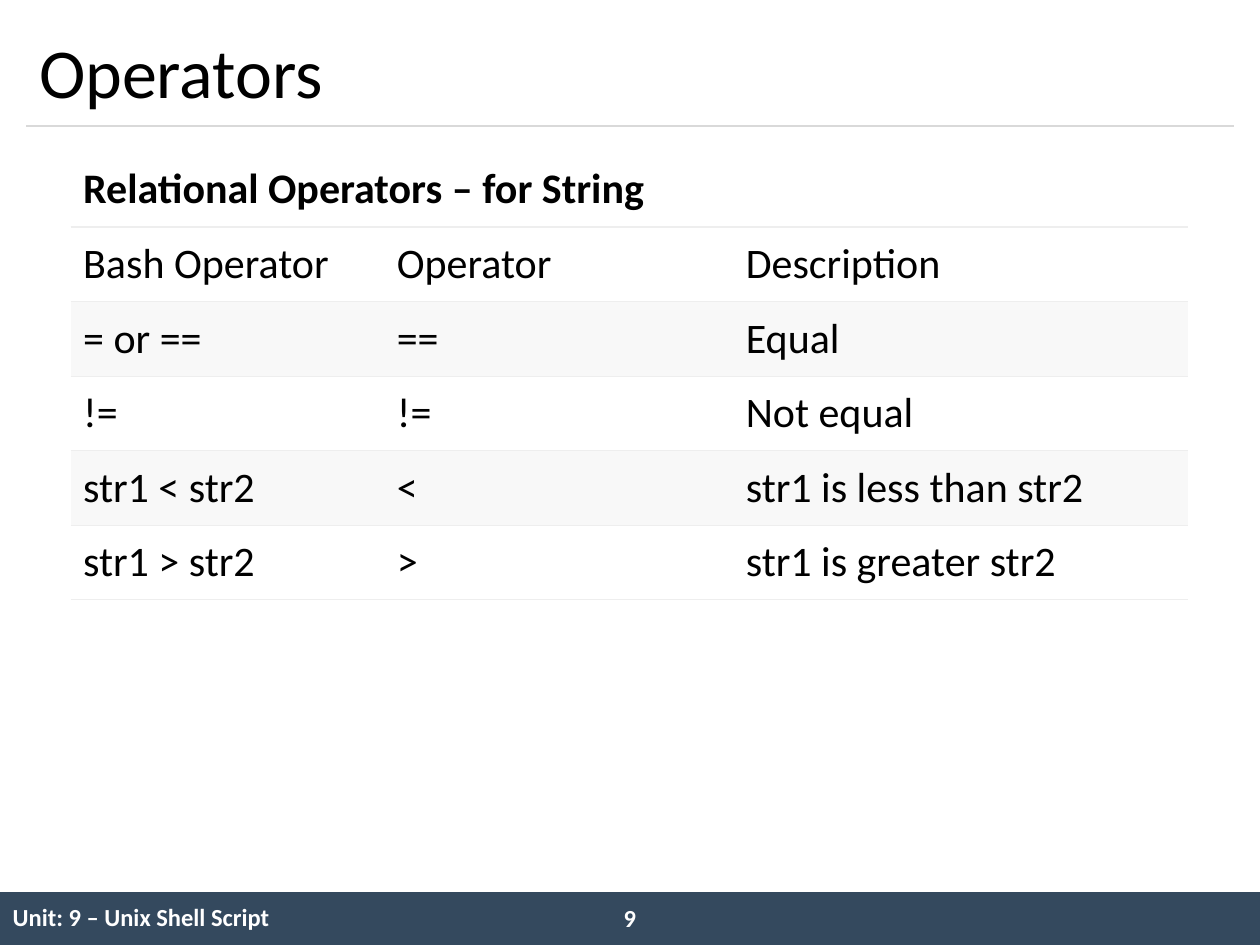
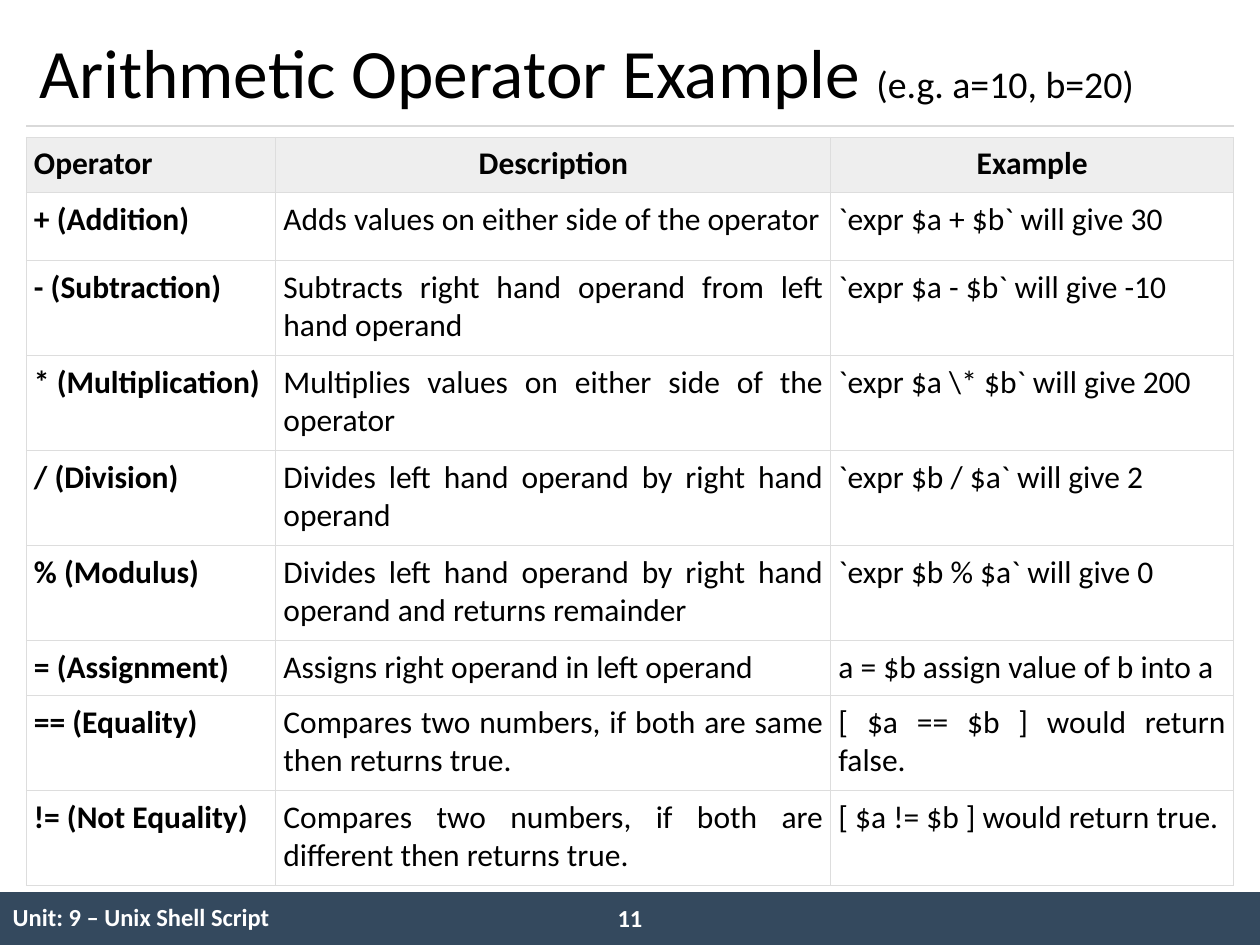
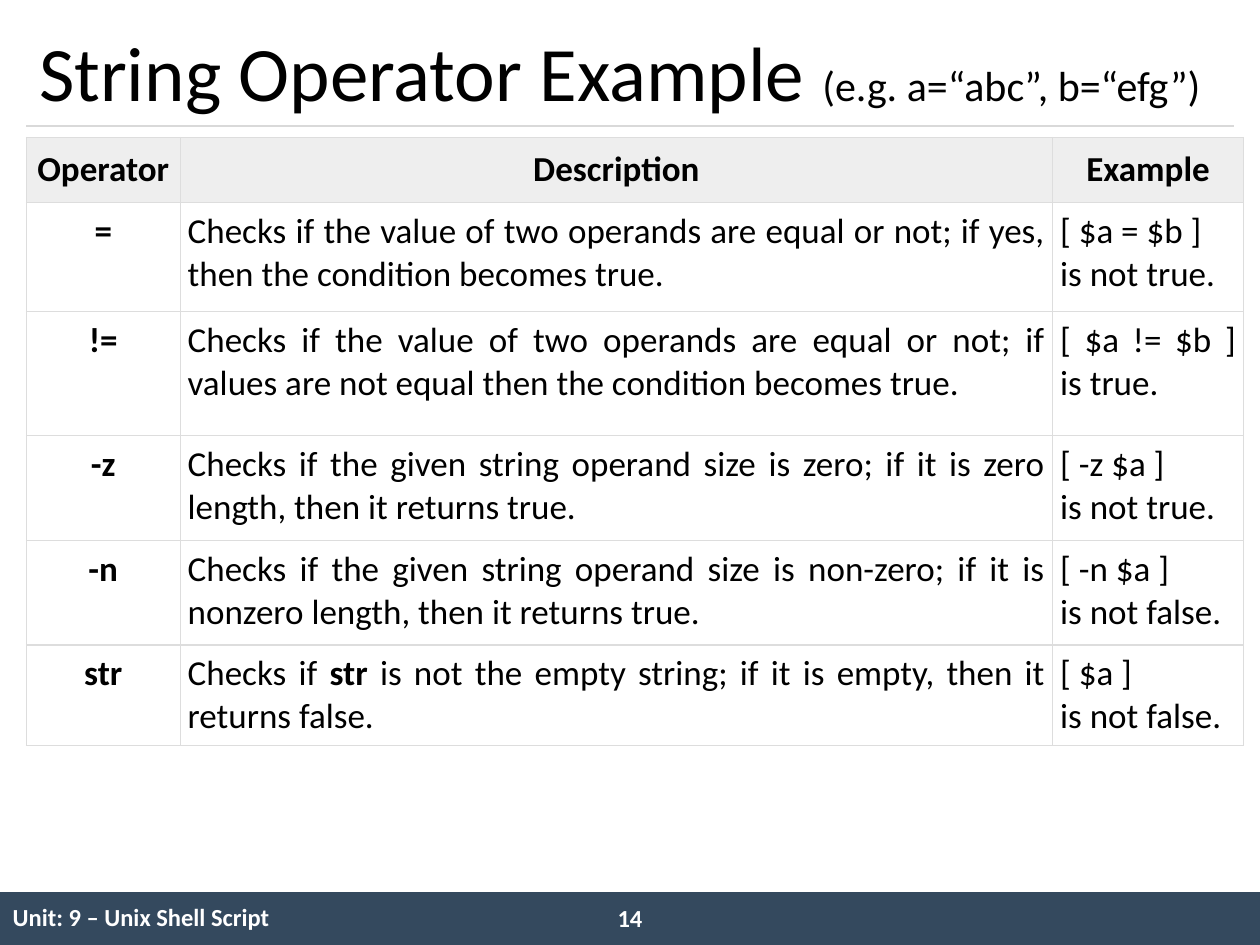
from lxml import etree
from pptx import Presentation
from pptx.dml.color import RGBColor
from pptx.enum.shapes import MSO_CONNECTOR as Connector, MSO_SHAPE as Shape
from pptx.enum.text import MSO_ANCHOR as Anchor, MSO_AUTO_SIZE as AutoSize, PP_ALIGN as Align
from pptx.oxml.ns import qn
from pptx.util import Inches, Pt

BLACK = RGBColor(0x00, 0x00, 0x00)
WHITE = RGBColor(0xFF, 0xFF, 0xFF)
NAVY = RGBColor(0x34, 0x49, 0x5E)
RULE_GREY = RGBColor(0xD9, 0xD9, 0xD9)
GRID_GREY = RGBColor(0xDD, 0xDD, 0xDD)
PALE_GREY = RGBColor(0xEE, 0xEE, 0xEE)
BAND_GREY = RGBColor(0xF8, 0xF8, 0xF8)

FONT = "Calibri"
UNIT = "Unit: 9 – Unix Shell Script"
PLAIN_TABLE = "{2D5ABB26-0587-4C30-8999-92F81FD0307C}"

# The slide is a grid of 100 columns by 75 rows
COLUMNS, ROWS = 100, 75
MARGIN = 2.1
CONTENT = COLUMNS - 2 * MARGIN
RULE_TOP = 10
TABLE_TOP = 10.9
FOOTER_TOP = 70.8
FOOTER_HEIGHT = ROWS - FOOTER_TOP
CELL_INSET = Inches(0.06)


class Designer:
    """Holds the deck, its style and the slide being built."""

    def __init__(self):
        self.deck = Presentation()
        self.deck.slide_width, self.deck.slide_height = Inches(10), Inches(7.5)
        self.page = None

    def x(self, columns):
        return round(self.deck.slide_width * columns / COLUMNS)

    def y(self, rows):
        return round(self.deck.slide_height * rows / ROWS)

    def area(self, left, top, width, height):
        return self.x(left), self.y(top), self.x(width), self.y(height)

    # Text
    def put_text(self, frame, text, size, color=BLACK, bold=False, align=Align.LEFT):
        """Text is a string, one paragraph a line, or a list of (words, font changes)."""
        lines = text.split("\n") if isinstance(text, str) else [text]
        for index, line in enumerate(lines):
            para = frame.add_paragraph() if index else frame.paragraphs[0]
            para.alignment = align
            para.font.name, para.font.size = FONT, Pt(size)
            para.font.bold, para.font.color.rgb = bold, color
            for words, changes in [(line, {})] if isinstance(line, str) else line:
                span = para.add_run()
                span.text = words
                span.font.size = changes.get("size")
                span.font.bold = changes.get("bold")

    def text_box(self, area, text, size, **style):
        frame = self.page.shapes.add_textbox(*self.area(*area)).text_frame
        frame.word_wrap = True
        frame.auto_size = AutoSize.SHAPE_TO_FIT_TEXT
        self.put_text(frame, text, size, **style)

    # Lines and bands
    def rule(self, top):
        line = self.page.shapes.add_connector(
            Connector.STRAIGHT, self.x(MARGIN), self.y(top),
            self.x(COLUMNS - MARGIN), self.y(top))
        line.line.color.rgb, line.line.width = RULE_GREY, Pt(0.75)
        etree.SubElement(line._element.spPr, qn("a:effectLst"))

    def band(self, top, height):
        box = self.page.shapes.add_shape(
            Shape.RECTANGLE, *self.area(0, top, COLUMNS, height))
        box.shadow.inherit = False
        box.fill.solid()
        box.fill.fore_color.rgb = NAVY
        box.line.fill.background()

    # Tables
    def borders(self, cell, sides, color):
        """Sides maps L, R, T and B to widths in points."""
        properties = cell._tc.get_or_add_tcPr()
        for index, side in enumerate(side for side in "LRTB" if side in sides):
            line = etree.Element(qn(f"a:ln{side}"), w=str(Pt(sides[side])))
            fill = etree.SubElement(line, qn("a:solidFill"))
            etree.SubElement(fill, qn("a:srgbClr"), val=str(color))
            properties.insert(index, line)

    def table(self, left, top, widths, heights, texts, size, look, inset=None, color=BLACK):
        """Look gives the style of the cell at a row and a column."""
        frame = self.page.shapes.add_table(
            len(heights), len(widths), *self.area(left, top, sum(widths), sum(heights)))
        table = frame.table
        table.first_row = table.horz_banding = False
        table._tbl.tblPr.find(qn("a:tableStyleId")).text = PLAIN_TABLE
        for column, width in zip(table.columns, widths):
            column.width = self.x(width)
        for row, height in zip(table.rows, heights):
            row.height = self.y(height)
        for r, line in enumerate(texts):
            for c, text in enumerate(line):
                cell, style = table.cell(r, c), look(r, c)
                cell.vertical_anchor = style.get("anchor", Anchor.TOP)
                if inset is not None:
                    cell.margin_left = cell.margin_right = inset
                    cell.margin_top = cell.margin_bottom = inset
                if style.get("fill"):
                    cell.fill.solid()
                    cell.fill.fore_color.rgb = style["fill"]
                else:
                    cell.fill.background()
                self.borders(cell, style.get("sides", {}), style.get("line"))
                if text:
                    self.put_text(cell.text_frame, text, size, color,
                                  style.get("bold", False), style.get("align", Align.LEFT))

    def boxed_table(self, widths, heights, texts, size, look):
        """A ruled table under the title, with a grey heading row."""
        def boxed(r, c):
            return {"fill": WHITE if r else PALE_GREY, "bold": r == 0 or c == 0,
                    "sides": dict.fromkeys("LRTB", 0.75), "line": GRID_GREY,
                    "align": Align.JUSTIFY} | look(r, c)

        self.table(MARGIN, TABLE_TOP, widths, heights, texts, size, boxed, CELL_INSET)

    # Slide with the shared footer, rule and title
    def start_page(self, number, title, size):
        self.page = self.deck.slides.add_slide(self.deck.slide_layouts[5])
        self.band(FOOTER_TOP, FOOTER_HEIGHT)
        self.table(0, FOOTER_TOP, [50.8, 6.7, 42.5], [FOOTER_HEIGHT], [[UNIT, "", ""]], 14,
                   lambda r, c: {"anchor": Anchor.MIDDLE, "bold": True}, color=WHITE)
        self.text_box((47.1, 71.2, 5.8, 3.4), str(number), 14,
                      color=WHITE, bold=True, align=Align.CENTER)
        self.rule(RULE_TOP)
        heading = self.page.shapes.title
        heading.left, heading.top, heading.width, heading.height = self.area(
            MARGIN, 1.2, CONTENT, 8.8)
        heading.text_frame.vertical_anchor = Anchor.MIDDLE
        heading.text_frame.auto_size = AutoSize.NONE
        self.put_text(heading.text_frame, title, size)


def relational_look(r, c):
    return {"anchor": Anchor.MIDDLE, "fill": BAND_GREY if r in (1, 3) else None,
            "sides": {"T": 0.75 if r else 1.5, "B": 0.75}, "line": PALE_GREY}


def arithmetic_look(r, c):
    if r == 0 and c > 0:
        return {"align": Align.CENTER}
    return {"anchor": Anchor.MIDDLE} if (r, c) == (6, 1) else {}


def string_look(r, c):
    if r == 0:
        return {"align": Align.CENTER, "anchor": Anchor.MIDDLE}
    return {"align": Align.CENTER} if c == 0 else {}


RELATIONAL = [
    ["Bash Operator", "Operator", "Description"],
    ["= or ==", "==", "Equal"],
    ["!=", "!=", "Not equal"],
    ["str1 < str2", "<", "str1 is less than str2"],
    ["str1 > str2", ">", "str1 is greater str2"],
]

ARITHMETIC = [
    ["Operator", "Description", "Example"],
    ["+ (Addition)", "Adds values on either side of the operator",
     "`expr $a + $b` will give 30"],
    ["- (Subtraction)", "Subtracts right hand operand from left hand operand",
     "`expr $a - $b` will give -10"],
    ["* (Multiplication)", "Multiplies values on either side of the operator",
     r"`expr $a \* $b` will give 200"],
    ["/ (Division)", "Divides left hand operand by right hand operand",
     "`expr $b / $a` will give 2"],
    ["% (Modulus)", "Divides left hand operand by right hand operand and returns remainder",
     "`expr $b % $a` will give 0"],
    ["= (Assignment)", "Assigns right operand in left operand",
     "a = $b assign value of b into a"],
    ["== (Equality)", "Compares two numbers, if both are same then returns true.",
     "[ $a == $b ] would return false."],
    ["!= (Not Equality)", "Compares two numbers, if both are different then returns true.",
     "[ $a != $b ] would return true."],
]

STRING = [
    ["Operator", "Description", "Example"],
    ["=", "Checks if the value of two operands are equal or not; "
     "if yes, then the condition becomes true.", "[ $a = $b ]\nis not true."],
    ["!=", "Checks if the value of two operands are equal or not; "
     "if values are not equal then the condition becomes true.", "[ $a != $b ] is true."],
    ["-z", "Checks if the given string operand size is zero; "
     "if it is zero length, then it returns true.", "[ -z $a ]\nis not true."],
    ["-n", "Checks if the given string operand size is non-zero; "
     "if it is nonzero length, then it returns true.", "[ -n $a ]\nis not false."],
    ["str", [("Checks if ", {}), ("str", {"bold": True}),
             (" is not the empty string; if it is empty, then it returns false.", {})],
     "[ $a ]\nis not false."],
]


def main():
    designer = Designer()

    # Relational operators
    designer.start_page(9, "Operators", 40)
    left, top, row = 5.6, 12.1, 5.92
    widths = [24.9, 27.7, 36.1]
    designer.table(left, top, [sum(widths)], [row], [["Relational Operators – for String"]], 24,
                   lambda r, c: {"anchor": Anchor.MIDDLE, "bold": True,
                                 "sides": {"B": 1.5}, "line": PALE_GREY})
    designer.table(left, top + row, widths, [row] * len(RELATIONAL), RELATIONAL, 24,
                   relational_look)

    # Arithmetic operators
    designer.start_page(11, [("Arithmetic Operator Example ", {}),
                             ("(e.g. a=10, b=20)", {"size": Pt(21.6)})], 39.6)
    one_line, two_lines = 4.38, 7.54
    designer.boxed_table([19.8, 44.05, 31.95],
                         [one_line, 5.4] + [two_lines] * 4 + [one_line] + [two_lines] * 2,
                         ARITHMETIC, 18, arithmetic_look)

    # String operators
    designer.start_page(14, [("String Operator Example ", {}),
                             ("(e.g. a=“abc”, b=“efg”)", {"size": Pt(24)})], 44)
    designer.boxed_table([12.2, 69.25, 15.15], [5.15, 8.7, 9.85, 8.3, 8.3, 8],
                         STRING, 20, string_look)

    designer.deck.save("out.pptx")


if __name__ == "__main__":
    main()
